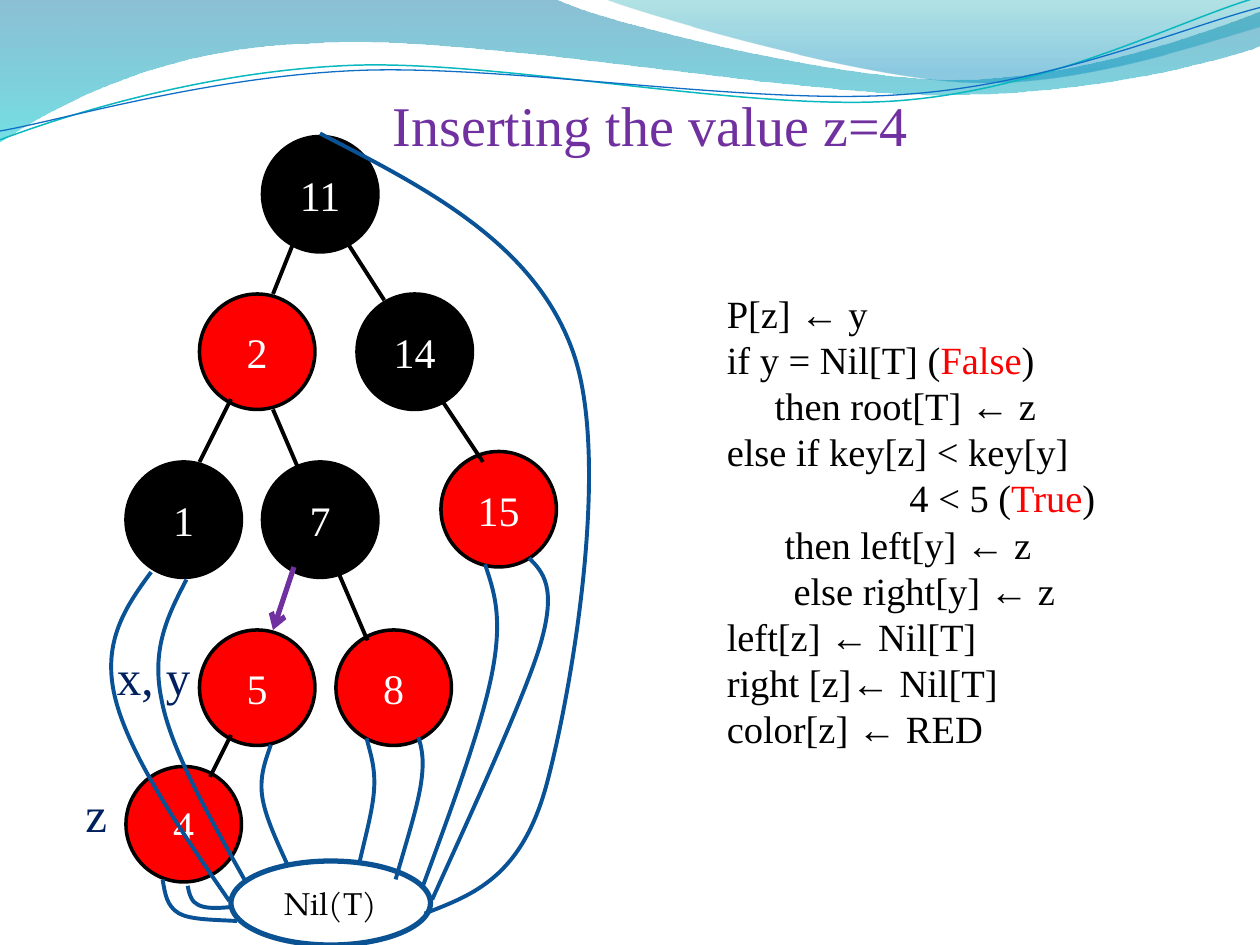
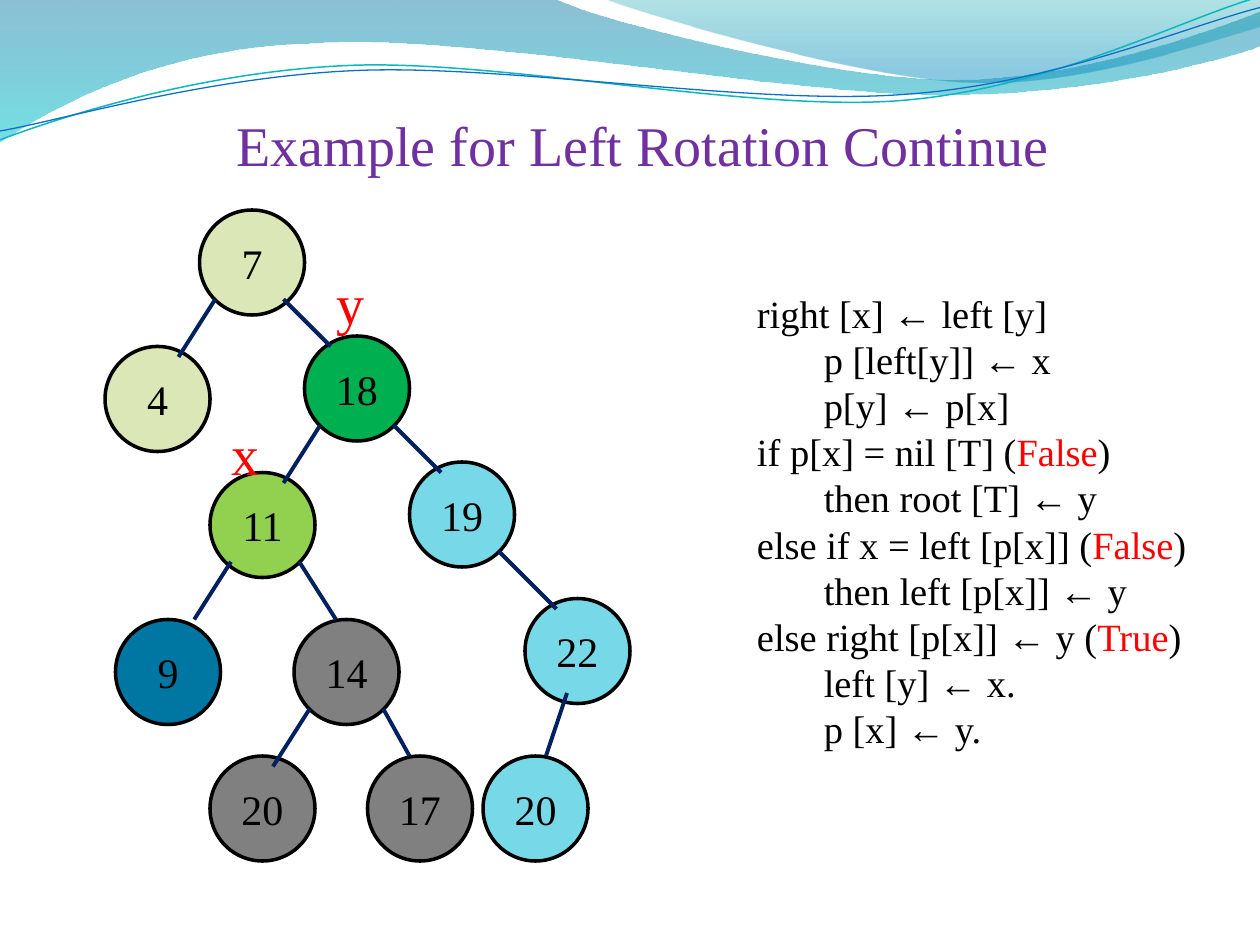
import pptx
import pptx.dml.color
import pptx.enum.dml
import pptx.enum.shapes
import pptx.enum.text
import pptx.oxml.ns
import pptx.util
from lxml import etree

COLORS = {
    "black": "000000", "white": "FFFFFF", "red": "FF0000", "purple": "7030A0",
    "navy": "002060", "nil line": "0B5292", "nil pointer": "095295",
    "sand": "DBE7B6", "green": "00B050", "lime": "92D050", "aqua": "77D9E8",
    "gray": "808080", "blue": "0076A3",
    "deep": "0074A1", "turquoise": "00C6CF", "teal": "00A1A9", "azure": "008BBF",
    "teal line": "0AB8BF", "blue line": "0F6FC6",
}
SERIF = "Times New Roman"
NIL_FONT = "TeX Gyre Pagella"
GRID = 1 / 12  # trees are laid out on a grid of 12 steps to the inch

# Outlines in inches: a start point, then (x, y) for a straight segment
# or (x1, y1, x2, y2, x, y) for a curved one.
WAVES = [
    ([(0, 0), (4.4, -0.01), (4.76, 0.17, 6.64, 0.63, 7.58, 0.63),
      (8.53, 0.63, 9.58, 0.26, 10, 0.09), (10.01, 0.36),
      (9.83, 0.44, 8.7, 0.76, 7.46, 0.75), (6.22, 0.75, 3.82, 0.28, 2.57, 0.34),
      (1.29, 0.36, 0.46, 0.83, -0.01, 1.13), (0, 0)],
     [(0, "deep", 45), (1, "turquoise", 55)]),
    ([(4.79, -0.01), (5.09, 0.11, 6.82, 0.62, 7.69, 0.65),
      (8.56, 0.69, 9.61, 0.32, 10, 0.21), (10, 0), (4.79, -0.01)],
     [(0, "teal", 30), (0.8, "azure", 45)]),
]
RIPPLES = [
    ([(0, 1.11), (0.48, 0.93, 1.58, 0.57, 2.77, 0.52),
      (3.95, 0.47, 5.93, 0.89, 7.13, 0.8), (8.33, 0.71, 9.38, 0.15, 9.98, -0.02)],
     "teal line", 0.85),
    ([(0, 1.04), (0.47, 0.96, 1.64, 0.61, 2.83, 0.56),
      (4.03, 0.51, 5.97, 0.84, 7.17, 0.75), (8.36, 0.67, 9.41, 0.21, 10, 0.06)],
     "blue line", 0.75),
]
NIL_POINTERS = [
    [(1.48, 4.6), (1.34, 4.87, 1.2, 5.14, 1.28, 5.54), (1.35, 5.94, 1.65, 6.46, 1.94, 6.98)],
    [(1.2, 4.54), (1, 4.81, 0.81, 5.09, 0.91, 5.52), (1.01, 5.96, 1.41, 6.56, 1.82, 7.15)],
    [(1.29, 6.98), (1.31, 7.09, 1.32, 7.19, 1.42, 7.25), (1.51, 7.3, 1.69, 7.3, 1.88, 7.31)],
    [(1.49, 7.03), (1.5, 7.09, 1.52, 7.16, 1.57, 7.18), (1.62, 7.21, 1.72, 7.21, 1.82, 7.2)],
    [(2.91, 5.86), (2.94, 5.98, 2.98, 6.09, 2.97, 6.26), (2.96, 6.43, 2.9, 6.64, 2.85, 6.86)],
    [(2.15, 5.91), (2.11, 6.03, 2.06, 6.15, 2.08, 6.31), (2.1, 6.47, 2.19, 6.66, 2.28, 6.86)],
    [(3.32, 5.85), (3.35, 5.94, 3.37, 6.04, 3.34, 6.23), (3.31, 6.42, 3.22, 6.7, 3.14, 6.98)],
    [(3.85, 4.48), (3.92, 4.69, 3.99, 4.89, 3.91, 5.32), (3.83, 5.75, 3.59, 6.4, 3.35, 7.05)],
    [(4.2, 4.43), (4.31, 4.54, 4.42, 4.66, 4.29, 5.11), (4.16, 5.56, 3.58, 6.8, 3.43, 7.14)],
    [(2.54, 1.06), (3.4, 1.5, 4.25, 1.94, 4.55, 2.8), (4.85, 3.66, 4.54, 5.47, 4.34, 6.22),
     (4.14, 6.96, 3.76, 7.1, 3.37, 7.25)],
]

# Nodes: key, column, row, fill. Edges: column and row of both ends.
# Labels: text, box in inches, size, color. Code: indent in inches, then text runs;
# the words False and True are verdicts and stand out.
INSERTION = {
    "title": ("Inserting the value z=4", (2.75, 0.67, 4.83, 0.64)),
    "node size": 11,
    "node text": "white",
    "nodes": [
        ("11", 25, 13, "black"), ("2", 19, 28, "red"), ("14", 34, 28, "black"),
        ("1", 12, 44, "black"), ("7", 25, 44, "black"), ("15", 42, 43, "red"),
        ("5", 19, 60, "red"), ("8", 32, 60, "red"), ("4", 12, 73, "red"),
    ],
    "edge color": "black",
    "edges": [
        (28, 23, 26, 28), (33, 23, 36.6, 28.6), (22, 38, 19, 44), (26, 39, 29, 46),
        (42, 38, 46, 44), (32, 54, 35, 61), (22, 70, 20, 74),
    ],
    "labels": [("x, y", (0.83, 5.08, 0.83, 0.57), 28, "navy"),
               ("z", (0.58, 6.17, 0.38, 0.57), 28, "navy")],
    "code box": (5.67, 2.25, 4.33, 3.8),
    "code": [
        (0, ["P[z] ← y"]),
        (0, ["if y = Nil[T] (", "False", ")"]),
        (0.38, ["then root[T] ← z"]),
        (0, ["else if key[z] < key[y]"]),
        (1.45, ["4 < 5 (", "True", ")"]),
        (0.46, ["then left[y] ← z"]),
        (0.53, ["else right[y] ← z"]),
        (0, ["left[z] ← Nil[T]"]),
        (0, ["right [z]← Nil[T]"]),
        (0, ["color[z] ← RED"]),
    ],
}
ROTATION = {
    "title": ("Example for Left Rotation Continue", (1.75, 0.83, 6.71, 0.64)),
    "node size": 10,
    "node text": "black",
    "nodes": [
        ("7", 19, 20, "sand"), ("18", 29, 32, "green"), ("19", 39, 44, "aqua"),
        ("22", 50, 57, "aqua"), ("20", 46, 72, "aqua"), ("4", 10, 33, "sand"),
        ("11", 20, 45, "lime"), ("14", 28, 59, "gray"), ("9", 11, 59, "blue"),
        ("17", 35, 72, "gray"), ("20", 20, 72, "gray"),
    ],
    "edge color": "navy",
    "edges": [
        (20.5, 28.5, 17, 34), (27, 28.5, 31.5, 33), (37.5, 40.5, 42, 45),
        (47.5, 52.5, 53, 58), (54, 66, 52, 72), (30.5, 40.5, 27, 46),
        (28.5, 53.5, 32, 59), (22, 53.5, 18.5, 59), (36.5, 67.5, 39, 72),
        (29.5, 67.5, 26, 73),
    ],
    "labels": [("x", (1.74, 3.28, 0.43, 0.64), 32, "red"),
               ("y", (2.57, 2.08, 0.43, 0.64), 32, "red")],
    "code box": (5.83, 2.25, 3.73, 3.8),
    "code": [
        (0.08, ["right [x] ← left [y]"]),
        (0.61, ["p [left[y]] ← x"]),
        (0.61, ["p[y] ← p[x]"]),
        (0.08, ["if p[x] = nil [T] (", "False", ")"]),
        (0.61, ["then root [T] ← y"]),
        (0.08, ["else if x = left [p[x]] (", "False", ")"]),
        (0.61, ["then left [p[x]] ← y"]),
        (0.08, ["else right [p[x]] ← y (", "True", ")"]),
        (0.61, ["left [y] ← x."]),
        (0.61, ["p [x] ← y."]),
    ],
}


def rgb(name):
    return pptx.dml.color.RGBColor.from_string(COLORS[name])


def inches(values, unit=1):
    return [pptx.util.Inches(value * unit) for value in values]


def add_xml(parent, tag, **attributes):
    return etree.SubElement(parent, pptx.oxml.ns.qn(tag), attributes)


def set_line(shape, color, width):
    shape.line.color.rgb = rgb(color)
    shape.line.width = pptx.util.Pt(width)


def format_run(run, size, color, font=SERIF):
    run.font.size = pptx.util.Pt(size)
    run.font.name = font
    run.font.color.rgb = rgb(color)


def add_text(slide, text, box, size, color, alignment=pptx.enum.text.PP_ALIGN.LEFT):
    text_frame = slide.shapes.add_textbox(*inches(box)).text_frame
    text_frame.word_wrap = True
    text_frame.text = text
    paragraph = text_frame.paragraphs[0]
    paragraph.alignment = alignment
    format_run(paragraph.runs[0], size, color)


def add_outline(slide, outline):
    """Draw an outline of straight and curved segments, in inches."""
    segments = [[(x * 100, y * 100) for x, y in zip(part[::2], part[1::2])] for part in outline]
    points = [point for segment in segments[1:] for point in segment]
    start = segments[0][0]
    builder = slide.shapes.build_freeform(*start, scale=pptx.util.Inches(0.01))
    builder.add_line_segments(points, close=outline[0] == outline[-1])
    shape = builder.convert_to_shape()
    shape.shadow.inherit = False
    steps = iter(list(shape._element.iter(pptx.oxml.ns.qn("a:lnTo"))))
    for segment in segments[1:]:
        corners = [next(steps) for _ in segment]
        if len(corners) == 3:
            curve = etree.Element(pptx.oxml.ns.qn("a:cubicBezTo"))
            corners[0].addprevious(curve)
            for corner in corners:
                curve.append(corner[0])
                corner.getparent().remove(corner)
    return shape


def add_curve(slide, outline, color, width):
    shape = add_outline(slide, outline)
    shape.fill.background()
    set_line(shape, color, width)


def add_waves(slide):
    for outline, stops in WAVES:
        wave = add_outline(slide, outline)
        wave.line.fill.background()
        wave.fill.gradient()
        wave.fill.gradient_angle = 270
        for stop, (position, color, opacity) in zip(wave.fill.gradient_stops, stops):
            stop.position = position
            stop.color.rgb = rgb(color)
        stop_colors = wave._element.spPr.iter(pptx.oxml.ns.qn("a:srgbClr"))
        for stop_color, (_, _, opacity) in zip(list(stop_colors), stops):
            for child in list(stop_color):
                stop_color.remove(child)
            add_xml(stop_color, "a:alpha", val=str(opacity * 1000))
    for ripple in RIPPLES:
        add_curve(slide, *ripple)


def add_ellipse(slide, text, cells, fill, line, text_style):
    ellipse = slide.shapes.add_shape(
        pptx.enum.shapes.MSO_SHAPE.OVAL, *inches(cells, GRID))
    ellipse.shadow.inherit = False
    ellipse.fill.solid()
    ellipse.fill.fore_color.rgb = rgb(fill)
    set_line(ellipse, *line)
    ellipse.text_frame.text = text
    ellipse.text_frame.vertical_anchor = pptx.enum.text.MSO_ANCHOR.MIDDLE
    paragraph = ellipse.text_frame.paragraphs[0]
    paragraph.alignment = pptx.enum.text.PP_ALIGN.CENTER
    format_run(paragraph.runs[0], *text_style)


def add_edge(slide, ends, color, width=2.25):
    edge = slide.shapes.add_connector(
        pptx.enum.shapes.MSO_CONNECTOR.STRAIGHT, *inches(ends, GRID))
    set_line(edge, color, width)
    add_xml(edge._element.spPr, "a:effectLst")
    return edge


def add_code(slide, lines, box):
    text_frame = slide.shapes.add_textbox(*inches(box)).text_frame
    text_frame.word_wrap = True
    for number, (indent, texts) in enumerate(lines):
        paragraph = text_frame.add_paragraph() if number else text_frame.paragraphs[0]
        paragraph._p.get_or_add_pPr().set("marL", str(pptx.util.Inches(indent)))
        for text in texts:
            run = paragraph.add_run()
            run.text = text
            format_run(run, 22, "red" if text in ("True", "False") else "black")


def add_tree_slide(presentation, content):
    slide = presentation.slides.add_slide(presentation.slide_layouts[6])
    add_waves(slide)
    title, title_box = content["title"]
    add_text(slide, title, title_box, 32, "purple", pptx.enum.text.PP_ALIGN.CENTER)
    size = content["node size"]
    for key, column, row, fill in content["nodes"]:
        add_ellipse(slide, key, (column, row, size, size), fill,
                    ("black", 2), (24, content["node text"]))
    for ends in content["edges"]:
        add_edge(slide, ends, content["edge color"])
    for label in content["labels"]:
        add_text(slide, *label)
    add_code(slide, content["code"], content["code box"])
    return slide


def add_nil_and_search_arrow(slide):
    arrow = add_edge(slide, (28, 54, 26, 60), "purple", 3)
    add_xml(arrow.line._get_or_add_ln(), "a:tailEnd", type="arrow")
    add_ellipse(slide, "Nil(T)", (22, 82, 19, 8), "white",
                ("nil line", 3), (18, "black", NIL_FONT))
    for pointer in NIL_POINTERS:
        add_curve(slide, pointer, "nil pointer", 2.25)


def main():
    presentation = pptx.Presentation()
    presentation.slide_width, presentation.slide_height = inches((10, 7.5))
    add_nil_and_search_arrow(add_tree_slide(presentation, INSERTION))
    add_tree_slide(presentation, ROTATION)
    presentation.save("out.pptx")


if __name__ == "__main__":
    main()
